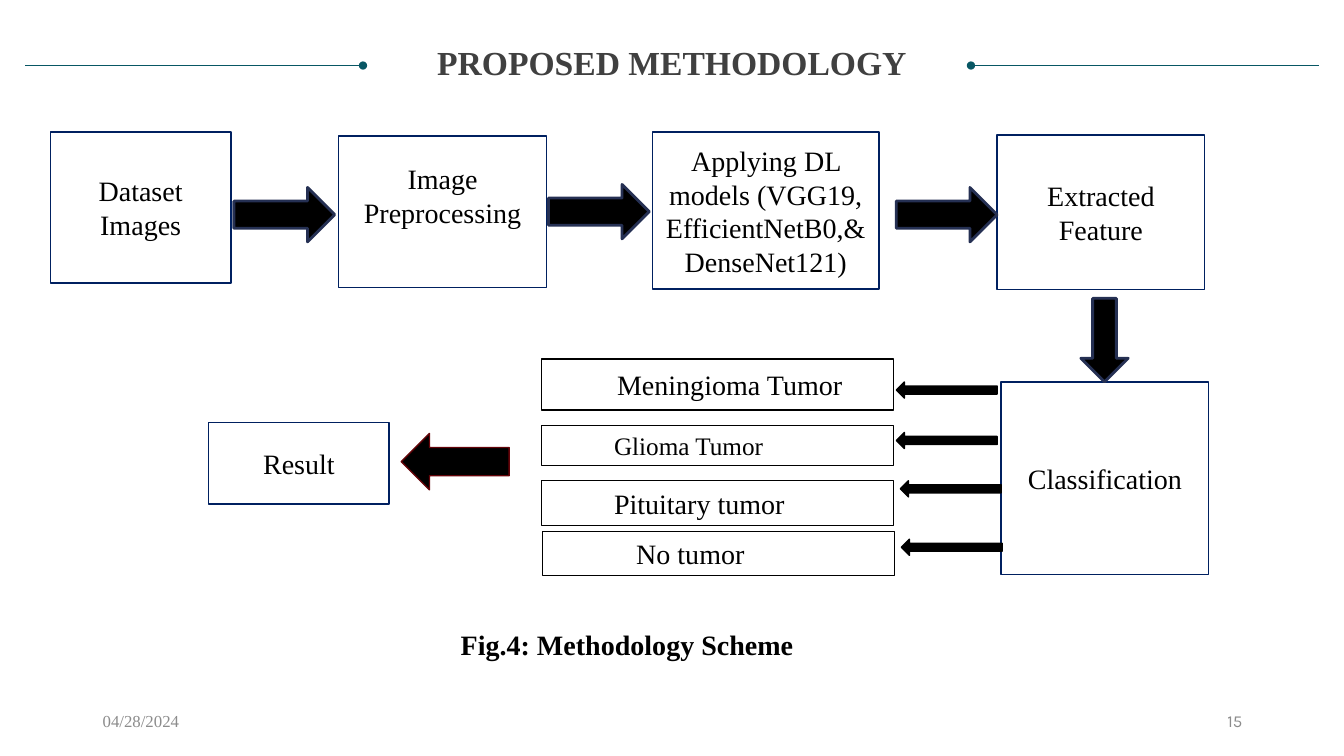
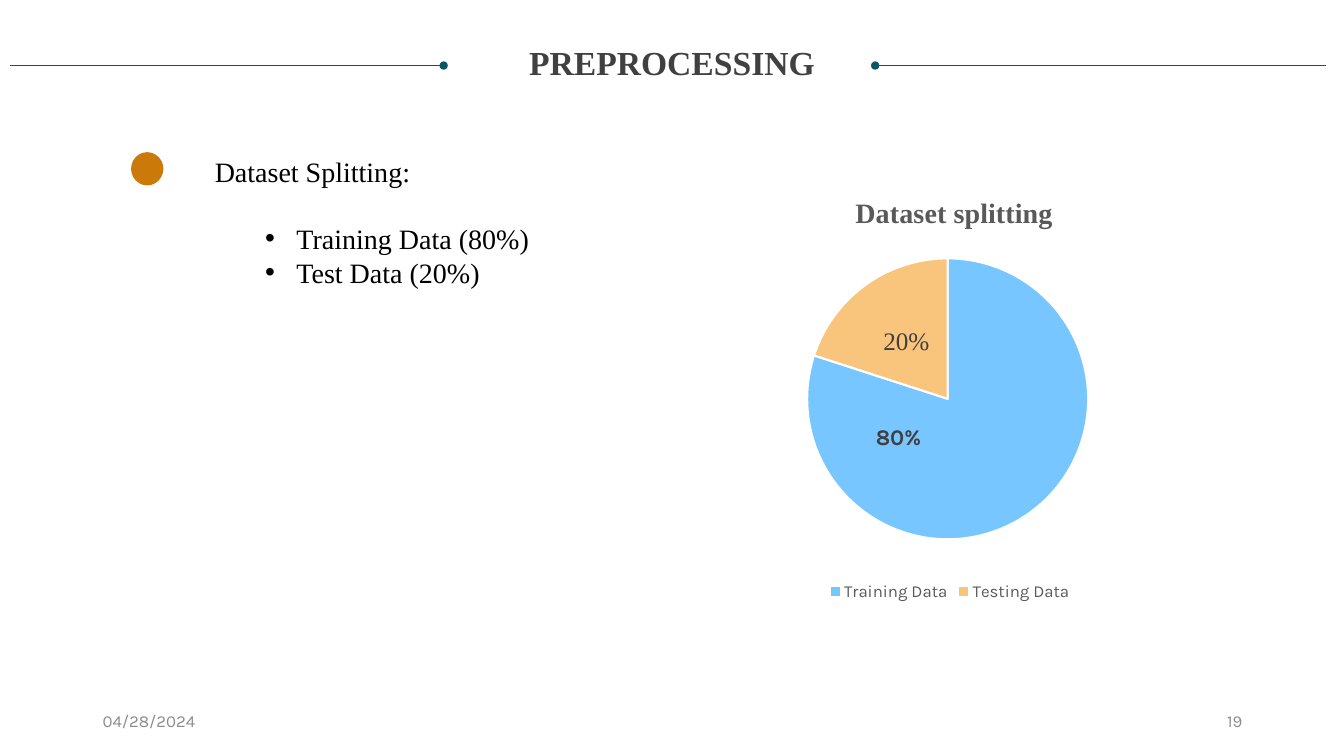
from lxml.etree import SubElement
from pptx import Presentation
from pptx.chart.data import CategoryChartData as ChartData
from pptx.dml.color import RGBColor as RGB
from pptx.enum.chart import XL_CHART_TYPE as CHART, XL_LABEL_POSITION as LABEL
from pptx.enum.chart import XL_LEGEND_POSITION as LEGEND
from pptx.enum.shapes import MSO_CONNECTOR as LINK, MSO_SHAPE as SHAPE
from pptx.enum.text import MSO_ANCHOR as ANCHOR, MSO_AUTO_SIZE as AUTO
from pptx.enum.text import PP_ALIGN as ALIGN
from pptx.oxml import parse_xml
from pptx.oxml.ns import nsdecls, qn
from pptx.util import Inches, Pt

BLACK = RGB(0x00, 0x00, 0x00)
WHITE = RGB(0xFF, 0xFF, 0xFF)
DARK = RGB(0x40, 0x40, 0x40)
GREY = RGB(0x59, 0x59, 0x59)
PALE = RGB(0x8C, 0x8C, 0x8C)
TEAL = RGB(0x08, 0x57, 0x64)
NAVY = RGB(0x00, 0x20, 0x60)
SLATE = RGB(0x25, 0x30, 0x53)
MAROON = RGB(0x63, 0x03, 0x08)
OCHRE = RGB(0xCB, 0x7A, 0x09)
SKY = RGB(0x77, 0xC6, 0xFF)
PEACH = RGB(0xF9, 0xC5, 0x7D)
SERIF, SANS = "Times New Roman", "Karla"

HEAD = {"size": 24, "color": DARK, "bold": True, "vertical_anchor": ANCHOR.TOP,
        "margin_left": 0, "margin_right": 0, "margin_top": 0, "margin_bottom": 0}
INSET = {"margin_left": Inches(0.13), "margin_right": Inches(0.13),
         "margin_top": Inches(0.07), "margin_bottom": Inches(0.07)}


def write(frame, text, size=20, color=BLACK, name=SERIF, bold=False,
          align=ALIGN.CENTER, **fit):
    """Fill a text frame; fit holds further frame attributes."""
    frame.text = text
    base = {"word_wrap": True, "auto_size": AUTO.NONE, "vertical_anchor": ANCHOR.MIDDLE}
    for key, value in (base | fit).items():
        setattr(frame, key, value)
    for para in frame.paragraphs:
        para.alignment = align
        para.font.color.rgb = color
        for key, value in {"size": Pt(size), "name": name, "bold": bold}.items():
            setattr(para.font, key, value)


def draw(slide, kind, at, fill, edge=None, weight=1):
    shape = slide.shapes.add_shape(kind, *map(Inches, at))
    shape.shadow.inherit = False
    shape.fill.solid()
    shape.fill.fore_color.rgb = fill
    if edge is None:
        shape.line.fill.background()
    else:
        shape.line.color.rgb = edge
        shape.line.width = Pt(weight)
    return shape


deck = Presentation()
deck.slide_width, deck.slide_height = Inches(13.33), Inches(7.5)

# Shared parts: title, rules with round ends, date and page number
pages = [
    (5, "PROPOSED METHODOLOGY", [(0.25, 3.6), (13.08, 9.63)], SERIF, "15"),
    (1, "PREPROCESSING", [(0.1, 4.4), (13.15, 8.68)], SANS, "19"),
]
slides = []
for layout, head, rules, face, number in pages:
    slide = deck.slides.add_slide(deck.slide_layouts[layout])
    slides.append(slide)
    title = slide.shapes.title
    title.left, title.top, title.width, title.height = map(
        Inches, (0.25, 0.46, 12.83, 0.79))
    write(title.text_frame, head, **HEAD)
    title.text_frame.paragraphs[0].line_spacing = 0.9

    for outer, inner in rules:
        rule = slide.shapes.add_connector(
            LINK.STRAIGHT, Inches(outer), Inches(0.65), Inches(inner), Inches(0.65))
        rule.line.color.rgb = TEAL
        rule.line.width = Pt(0.5)
        props = rule.element.spPr
        SubElement(props.find(qn("a:ln")), qn("a:tailEnd"), type="oval")
        SubElement(props, qn("a:effectLst"))

    for left, text, name, align in [(0.92, "04/28/2024", face, ALIGN.LEFT),
                                    (9.42, number, SANS, ALIGN.RIGHT)]:
        note = slide.shapes.add_textbox(
            Inches(left), Inches(6.95), Inches(3), Inches(0.4))
        write(note.text_frame, text, size=12, color=PALE, name=name, align=align)

flow, split = slides

# Methodology: steps
steps = [
    ("Dataset Images", (0.5, 1.31, 1.79, 1.5), 0.07),
    ("Image Preprocessing", (3.36, 1.35, 2.06, 1.5), 0.4),
    ("Applying DL models (VGG19, EfficientNetB0,&DenseNet121)",
     (6.47, 1.31, 2.25, 1.56), 0.07),
    ("Extracted Feature", (9.89, 1.34, 2.06, 1.53), 0.07),
    ("Classification", (9.93, 3.79, 2.06, 1.91), 0.07),
    ("Result", (2.07, 4.19, 1.79, 0.81), 0.07),
]
for text, at, foot in steps:
    step = draw(flow, SHAPE.RECTANGLE, at, WHITE, NAVY)
    write(step.text_frame, text, **INSET | {"margin_bottom": Inches(foot)})

# Methodology: tumor classes
classes = [
    ("Meningioma Tumor", (5.37, 3.56, 3.49, 0.51), 0.75, 20, 1),
    ("Glioma Tumor", (5.37, 4.22, 3.49, 0.4), 0.72, 18, 0.75),
    ("Pituitary tumor", (5.37, 4.77, 3.49, 0.44), 0.72, 20, 0.75),
    ("No tumor", (5.38, 5.27, 3.49, 0.44), 0.93, 20, 0.75),
]
for text, at, indent, size, weight in classes:
    kind = draw(flow, SHAPE.RECTANGLE, at, WHITE, BLACK, weight)
    write(kind.text_frame, text, size=size, align=ALIGN.LEFT,
          margin_left=Inches(indent))

# Methodology: arrows
arrows = [(SHAPE.RIGHT_ARROW, (left, top, 1, 0.54), SLATE, 2)
          for left, top in [(2.32, 1.86), (5.44, 1.83), (8.89, 1.86)]]
arrows += [(SHAPE.LEFT_ARROW, (left, top, 1, 0.16), BLACK, 1)
           for left, top in [(8.89, 3.79), (8.89, 4.29), (8.93, 4.77), (8.94, 5.35)]]
arrows += [(SHAPE.DOWN_ARROW, (10.72, 2.96, 0.47, 0.83), SLATE, 2),
           (SHAPE.LEFT_ARROW, (3.98, 4.3, 1.07, 0.56), MAROON, 1)]
for kind, at, edge, weight in arrows:
    draw(flow, kind, at, BLACK, edge, weight)

label = flow.shapes.add_textbox(*map(Inches, (3.38, 6.08, 5.68, 0.62)))
write(label.text_frame, "Fig.4: Methodology Scheme", bold=True)

# Preprocessing: list
draw(split, SHAPE.OVAL, (1.3, 1.51, 0.32, 0.33), OCHRE)
body = split.placeholders[1]
body.left, body.top, body.width, body.height = map(Inches, (2.03, 1.48, 3.38, 1.45))
write(body.text_frame, "Dataset Splitting:\nTraining Data (80%)\nTest Data (20%)",
      align=ALIGN.LEFT, vertical_anchor=ANCHOR.TOP)
for para, level, gap in zip(body.text_frame.paragraphs, (0, 1, 1), (0, 24, 0)):
    para.level = level
    para.space_before = Pt(gap)
    props = para._p.get_or_add_pPr()
    props.set("marL", str(Inches(0.81 * level)))
    props.set("indent", str(Inches(-0.31 * level)))
    if level:
        SubElement(props, qn("a:buChar"), char="•")
    else:
        SubElement(props, qn("a:buNone"))

# Preprocessing: pie
data = ChartData(number_format='0"%"')
data.categories = ["Training Data", "Testing Data"]
data.add_series("Series 1", (80, 20))
chart = split.shapes.add_chart(
    CHART.PIE, *map(Inches, (5.97, 1.68, 6.9, 4.33)), data).chart
chart.font.size, chart.font.name = Pt(10), SANS
chart.has_title = True
write(chart.chart_title.text_frame, "Dataset splitting", color=GREY, bold=True)
chart.has_legend = True
chart.legend.position = LEGEND.BOTTOM
chart.legend.include_in_layout = False
font = chart.legend.font
font.size, font.name, font.color.rgb = Pt(12), SANS, GREY

plot = chart.plots[0]
plot.vary_by_categories = True
looks = [(SKY, {"size": Pt(16), "name": SANS, "bold": True}),
         (PEACH, {"size": Pt(18), "name": SERIF, "bold": False})]
for index, (color, look) in enumerate(looks):
    slice = plot.series[0].points[index]
    slice.format.fill.solid()
    slice.format.fill.fore_color.rgb = color
    slice.format.line.color.rgb = WHITE
    slice.format.line.width = Pt(1.5)
    mark = slice.data_label
    for key, value in look.items():
        setattr(mark.font, key, value)
    mark.font.color.rgb = DARK
    mark.position = LABEL.CENTER

# Places of chart parts, as shares of the chart
places = [
    ("c:plotArea", 0, {"layoutTarget": "inner", "xMode": "edge", "yMode": "edge",
                       "x": 0.295, "y": 0.204, "w": 0.404, "h": 0.644}),
    ("c:title", 1, {"xMode": "edge", "yMode": "edge", "x": 0.357, "y": 0.046}),
    ("c:dLbl", 1, {"x": -0.13, "y": -0.04}),
]
for tag, index, values in places:
    part = next(chart.element.iter(qn(tag)))
    for old in part.findall(qn("c:layout")):
        part.remove(old)
    layout = parse_xml(f"<c:layout {nsdecls('c')}><c:manualLayout/></c:layout>")
    for key, value in values.items():
        SubElement(layout[0], qn(f"c:{key}"), val=str(value))
    part.insert(index, layout)

deck.save("out.pptx")
